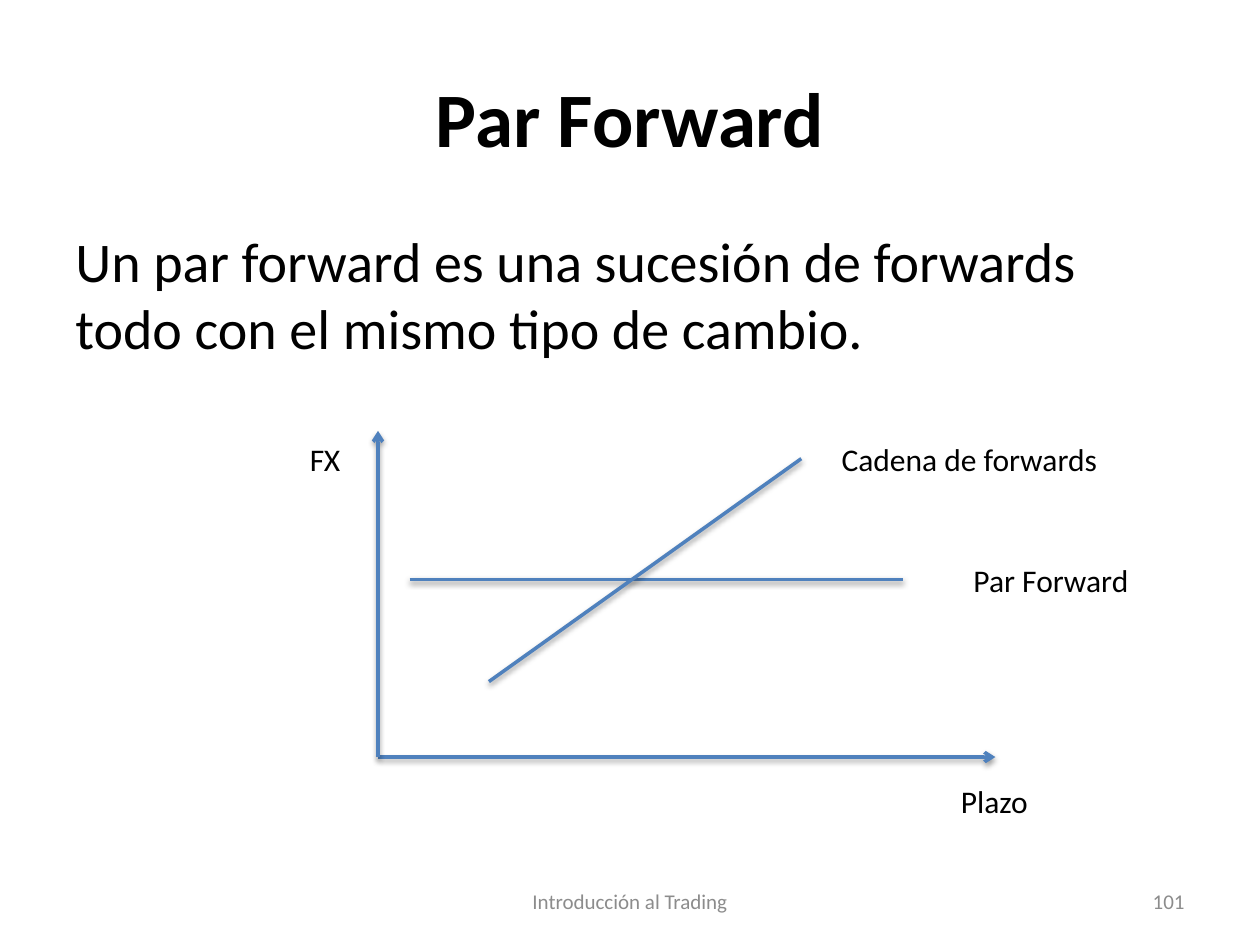
"""Build the Par Forward slide with its exchange rate against term diagram."""
from lxml import etree
from pptx import Presentation
from pptx.dml.color import RGBColor
from pptx.enum.shapes import MSO_CONNECTOR
from pptx.enum.text import MSO_ANCHOR, PP_ALIGN
from pptx.oxml import parse_xml
from pptx.oxml.ns import nsdecls, qn
from pptx.util import Pt

BLACK = RGBColor(0x00, 0x00, 0x00)
GRAY = RGBColor(0x8C, 0x8C, 0x8C)
BLUE = RGBColor(0x4F, 0x81, 0xBD)
LEFT, CENTER, RIGHT = PP_ALIGN.LEFT, PP_ALIGN.CENTER, PP_ALIGN.RIGHT
TOP, MIDDLE = MSO_ANCHOR.TOP, MSO_ANCHOR.MIDDLE
STRAIGHT = MSO_CONNECTOR.STRAIGHT
SHADOW = (
    f'<a:effectLst {nsdecls("a")}><a:outerShdw blurRad="40000" dist="20000" '
    'dir="5400000" rotWithShape="0"><a:srgbClr val="000000">'
    '<a:alpha val="38000"/></a:srgbClr></a:outerShdw></a:effectLst>'
)

prs = Presentation()
prs.slide_width, prs.slide_height = Pt(720), Pt(540)
s = prs.slides.add_slide(prs.slide_layouts[6])


def add_text(text, x, y, w, h, size, color=BLACK, align=LEFT, anchor=TOP, wrap=True):
    tf = s.shapes.add_textbox(Pt(x), Pt(y), Pt(w), Pt(h)).text_frame
    tf.word_wrap = wrap
    tf.vertical_anchor = anchor
    p = tf.paragraphs[0]
    p.text = text
    p.alignment = align
    p.font.name = "Calibri"
    p.font.size = Pt(size)
    p.font.color.rgb = color
    return p


title = add_text("Par Forward", 36, 21.6, 648, 90, 44, align=CENTER, anchor=MIDDLE)
title.font.bold = True
body = add_text("Un par forward es una sucesión de forwards todo con el mismo tipo de cambio.",
                36, 126, 648, 108, 32)
body.space_before = Pt(6.4)
add_text("Introducción al Trading", 246, 500.5, 228, 28.75, 12, GRAY, CENTER, MIDDLE)
add_text("101", 516, 500.5, 168, 28.75, 12, GRAY, RIGHT, MIDDLE)

LINES = [
    (216, 432.6, 568.8, 432.6, True),
    (216, 432.6, 216, 246.2, True),
    (234, 331.2, 516, 331.2, False),
    (279.4, 389.5, 457.9, 262.1, False),
]
for x1, y1, x2, y2, arrow in LINES:
    line = s.shapes.add_connector(STRAIGHT, Pt(x1), Pt(y1), Pt(x2), Pt(y2))
    line.line.color.rgb = BLUE
    line.line.width = Pt(2)
    spPr = line._element.spPr
    if arrow:
        etree.SubElement(spPr.find(qn("a:ln")), qn("a:tailEnd"), type="arrow")
    spPr.append(parse_xml(SHADOW))

LABELS = [
    ("Plazo", 542, 443.6, 53),
    ("FX", 170, 247.7, 32.5),
    ("Par Forward", 549.2, 316.9, 105),
    ("Cadena de forwards", 473.8, 247.7, 162.5),
]
for text, x, y, w in LABELS:
    add_text(text, x, y, w, 29, 18, wrap=False)

prs.save("out.pptx")
